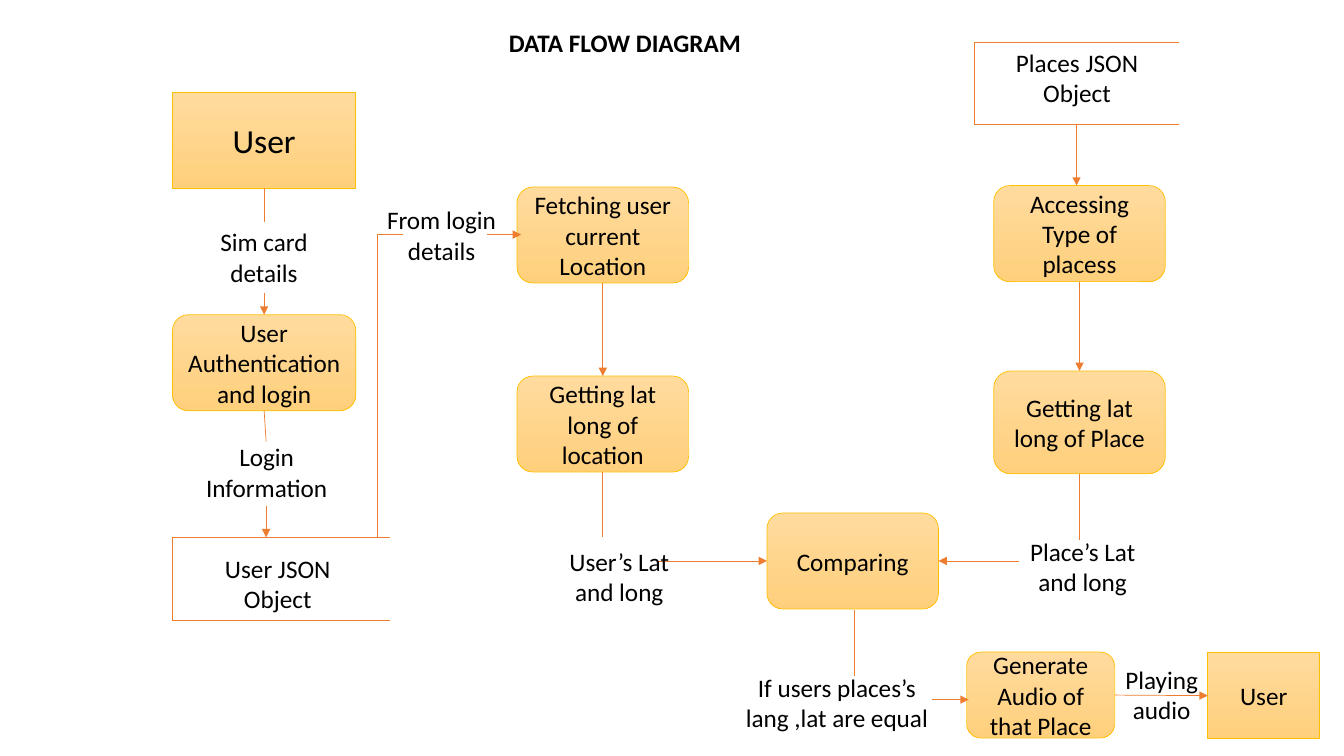
import pptx
import pptx.dml.color
import pptx.enum.dml
import pptx.enum.shapes
import pptx.enum.text
import pptx.util
from lxml import etree
from pptx.oxml.ns import qn

Pt = pptx.util.Pt
RGB = pptx.dml.color.RGBColor
SHAPES = pptx.enum.shapes.MSO_SHAPE
ALIGN = pptx.enum.text.PP_ALIGN
ANCHOR = pptx.enum.text.MSO_ANCHOR

BLACK = RGB(0x00, 0x00, 0x00)
ORANGE = RGB(0xED, 0x7D, 0x31)
GOLD = RGB(0xFF, 0xC0, 0x00)
BOX_COLORS = (RGB(0xFF, 0xDB, 0x9E), RGB(0xFF, 0xD0, 0x7C))

FONT = "Calibri"
TOP, LEFT, BOTTOM, RIGHT = range(4)  # connection sites of a box
PROCESS, ENTITY = SHAPES.ROUNDED_RECTANGLE, SHAPES.RECTANGLE

# Column centres, and the process size most boxes share
USER_X, LOCATION_X, COMPARE_X, PLACE_X = 188.7, 430.6, 609.1, 771.1
WIDE, NORMAL, HIGH = 131, 122.6, 68.6
LABEL_HEIGHT = 50.9

# key: (text, shape, centre x, top, width, height, font size)
BOXES = {
    "user": ("User", ENTITY, USER_X, 65.8, WIDE, HIGH, 24),
    "login": ("User Authentication and login", PROCESS, USER_X, 224.8, WIDE, HIGH, 18),
    "fetch": ("Fetching user current Location", PROCESS, LOCATION_X, 133.6, NORMAL, HIGH, 18),
    "location": ("Getting lat long of location", PROCESS, LOCATION_X, 268.6, NORMAL, HIGH, 18),
    "type": ("Accessing Type of placess", PROCESS, PLACE_X, 132.6, NORMAL, HIGH, 18),
    "place": ("Getting lat long of Place", PROCESS, PLACE_X, 265, NORMAL, 73.4, 18),
    "compare": ("Comparing", PROCESS, COMPARE_X, 366.4, NORMAL, HIGH, 18),
    "audio": ("Generate Audio of that Place", PROCESS, 743.4, 465.8, 105.8, 61.4, 18),
    "listener": ("User", ENTITY, 902.7, 466.2, 80, 61.4, 18),
}

# Data stores, open on the right: left, top, width, height
STORES = [(123.2, 383.8, 155.5, 59), (696.2, 30.2, 146.2, 59)]

# text, left, top, width
LABELS = [
    ("User JSON Object", 142.6, 391.7, 111.6),
    ("Places JSON Object", 713.5, 30.2, 111.6),
    ("Sim card details", 127.4, 158.4, 122.4),
    ("Login Information", 130.4, 312, 120.2),
    ("From login details", 258.5, 142.6, 113.8),
    ("Place\u2019s Lat and long", 716.4, 379.4, 113.8),
    ("User\u2019s Lat and long", 385.4, 386.6, 113.8),
    ("If users places\u2019s lang ,lat are equal", 525.1, 476.6, 145.4),
    ("Playing audio", 787.7, 470.9, 84.2),
]

# start, end, has arrowhead; an end is a point or a (box, site) pair
FLOWS = [
    (("user", BOTTOM), (USER_X, 158.4), False),
    ((USER_X, 209.5), ("login", TOP), True),
    (("login", BOTTOM), (190.1, 315.4), False),
    ((190.1, 361.4), (190.1, 383.8), True),
    ((269.3, 383.8), (269.3, 167.6), False),
    ((269.3, 167.6), (288, 167.6), False),
    ((347.8, 167.6), (372.2, 167.6), True),
    (("fetch", BOTTOM), ("location", TOP), True),
    (("location", BOTTOM), (LOCATION_X, 383.8), False),
    ((470.2, 400.7), ("compare", LEFT), True),
    ((769, 89.2), (769, 132.6), True),
    (("type", BOTTOM), ("place", TOP), True),
    (("place", BOTTOM), (PLACE_X, 385.9), False),
    ((727.9, 400.7), ("compare", RIGHT), True),
    ((610.6, 435.6), (610.6, 483.1), False),
    ((666, 499.7), (691.9, 499.7), True),
    (("audio", RIGHT), ("listener", LEFT), True),
]


def write(shape, text, size=18, bold=False, align=ALIGN.CENTER, anchor=ANCHOR.TOP):
    """Put formatted, wrapping text into a shape."""
    frame = shape.text_frame
    frame.word_wrap = True
    frame.vertical_anchor = anchor
    paragraph = frame.paragraphs[0]
    paragraph.alignment = align
    run = paragraph.add_run()
    run.text = text
    run.font.name, run.font.size, run.font.bold = FONT, Pt(size), bold
    run.font.color.rgb = BLACK


def add_box(text, outline, center, top, width, height, size):
    """Add an entity or process box with the shared gradient."""
    box = slide.shapes.add_shape(
        outline, Pt(center - width / 2), Pt(top), Pt(width), Pt(height))
    box.shadow.inherit = False
    box.fill.gradient()
    box.fill.gradient_angle = 270
    for stop, color in zip(box.fill.gradient_stops, BOX_COLORS):
        stop.color.rgb = color
    box.line.color.rgb = GOLD
    box.line.width = Pt(0.5)
    write(box, text, size, anchor=ANCHOR.MIDDLE)
    return box


def add_label(text, left, top, width, height=LABEL_HEIGHT, **text_format):
    """Add a free-standing text box."""
    label = slide.shapes.add_textbox(Pt(left), Pt(top), Pt(width), Pt(height))
    write(label, text, **text_format)
    label.text_frame.auto_size = pptx.enum.text.MSO_AUTO_SIZE.SHAPE_TO_FIT_TEXT


def add_flow(start, end, arrow=False):
    """Draw a line between points or box sites, with an optional arrowhead."""
    points = [(0, 0) if tip[0] in boxes else tip for tip in (start, end)]
    flow = slide.shapes.add_connector(
        pptx.enum.shapes.MSO_CONNECTOR.STRAIGHT,
        *(Pt(value) for point in points for value in point))
    for tip, connect in ((start, flow.begin_connect), (end, flow.end_connect)):
        if tip[0] in boxes:
            connect(boxes[tip[0]], tip[1])
    flow.line.color.rgb = ORANGE
    flow.line.width = Pt(0.5)
    if arrow:
        etree.SubElement(flow.line._get_or_add_ln(), qn("a:tailEnd"), type="triangle")
    etree.SubElement(flow._element.spPr, qn("a:effectLst"))


def add_store(left, top, width, height):
    """Draw a data store as three lines, open on the right."""
    right, bottom = left + width, top + height
    add_flow((left, top), (right, top))
    add_flow((left, bottom), (right, bottom))
    add_flow((left, bottom), (left, top))


deck = pptx.Presentation()
deck.slide_width, deck.slide_height = Pt(960), Pt(540)
slide = deck.slides.add_slide(deck.slide_layouts[6])

boxes = {key: add_box(*box) for key, box in BOXES.items()}
for store in STORES:
    add_store(*store)
for flow_ends in FLOWS:
    add_flow(*flow_ends)
for label_place in LABELS:
    add_label(*label_place)
add_label("DATA FLOW DIAGRAM", 356.4, 15.8, 255.6, 29.1, bold=True, align=ALIGN.LEFT)

deck.save("out.pptx")
